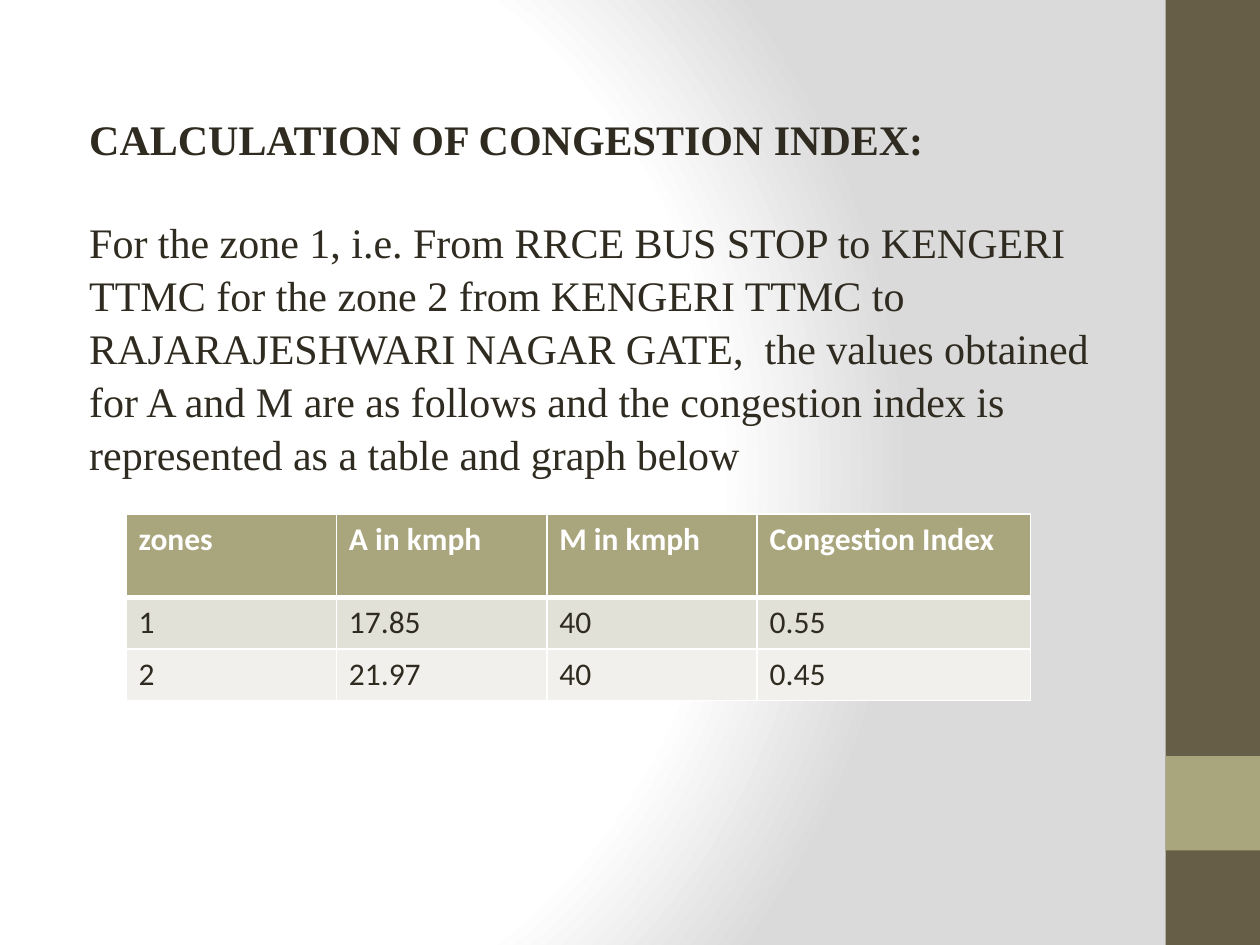
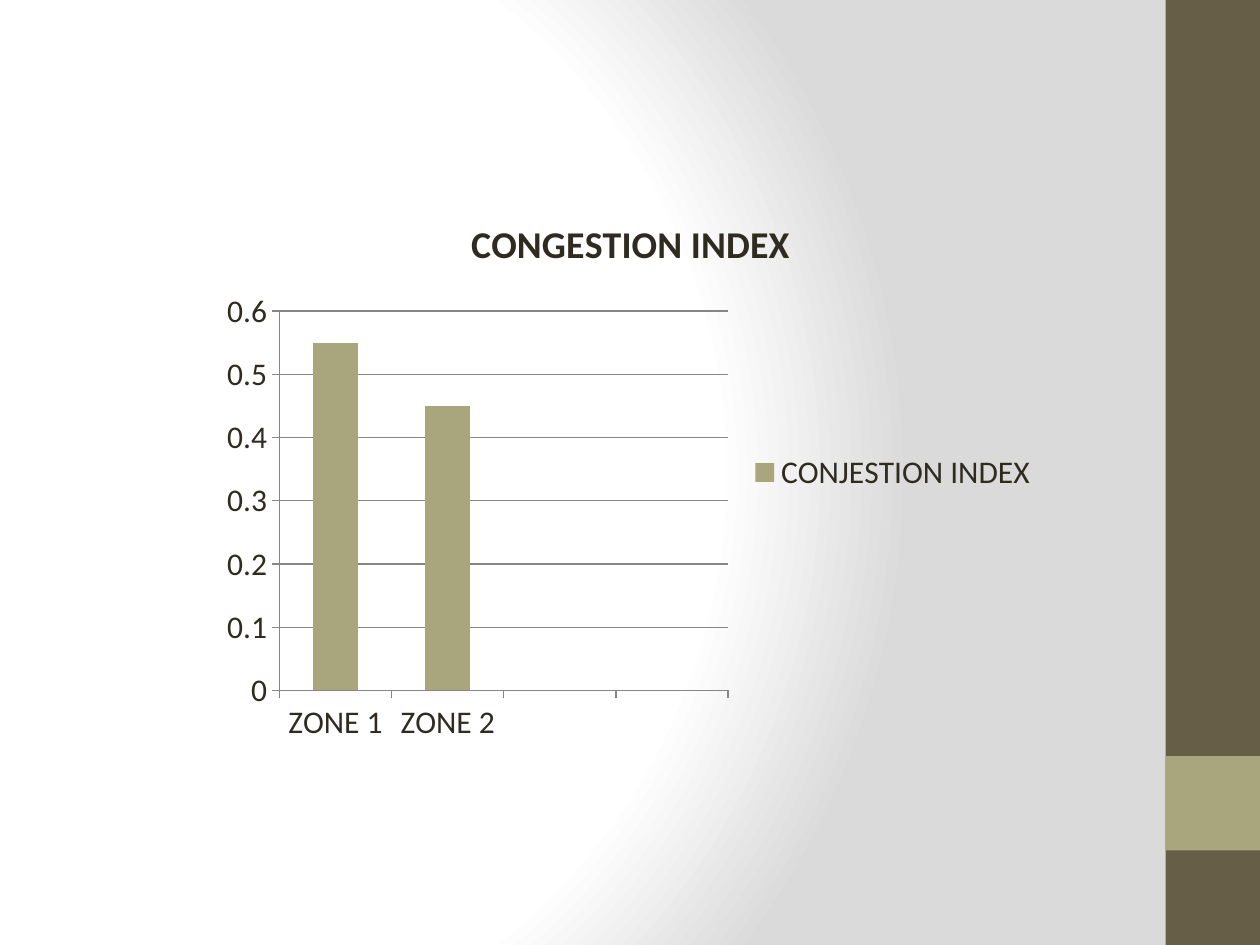
from typing import NamedTuple

from pptx import Presentation
from pptx.chart.data import CategoryChartData
from pptx.dml.color import RGBColor
from pptx.enum.chart import XL_CHART_TYPE, XL_LEGEND_POSITION, XL_TICK_MARK
from pptx.enum.shapes import MSO_SHAPE
from pptx.oxml import parse_xml
from pptx.oxml.ns import nsdecls
from pptx.slide import Slide
from pptx.util import Inches, Pt

RECTANGLE = MSO_SHAPE.RECTANGLE
STACKED_COLUMN = XL_CHART_TYPE.COLUMN_STACKED
LEGEND_RIGHT = XL_LEGEND_POSITION.RIGHT
TICK_OUTSIDE = XL_TICK_MARK.OUTSIDE

WHITE = RGBColor(0xFF, 0xFF, 0xFF)
GREY = RGBColor(0xDA, 0xDA, 0xDA)
BROWN = RGBColor(0x67, 0x5E, 0x47)
OLIVE = RGBColor(0xA9, 0xA5, 0x7C)
INK = RGBColor(0x2F, 0x2B, 0x20)
AXIS_GREY = RGBColor(0x86, 0x86, 0x86)
ROW_FILLS = (RGBColor(0xE2, 0xE1, 0xD7), RGBColor(0xF1, 0xF0, 0xEC))

BODY_FONT = "Calibri"
TEXT_FONT = "Times New Roman"


class Band(NamedTuple):
    top: float
    height: float
    color: RGBColor


BANDS = (Band(0, 7.5, BROWN), Band(6, 0.75, OLIVE))
BACKGROUND_STOPS = ((0, WHITE), (75, WHITE), (100, GREY))

HEADING = "CALCULATION OF CONGESTION INDEX:"
EXPLANATION = (
    "For the zone 1, i.e. From RRCE BUS STOP to KENGERI TTMC for the zone 2 "
    "from KENGERI TTMC to RAJARAJESHWARI NAGAR GATE,  the values obtained for "
    "A and M are as follows and the congestion index is represented as a table "
    "and graph below"
)
ZONE_TABLE = (
    ("zones", "A in kmph", "M in kmph", "Congestion Index"),
    ("1", "17.85", "40", "0.55"),
    ("2", "21.97", "40", "0.45"),
)
COLUMN_WIDTHS = (1.67, 1.67, 1.67, 2.17)
ROW_HEIGHTS = (0.66, 0.41, 0.41)


def set_background(s: Slide) -> None:
    """Give the slide a radial gradient from white at the left to grey."""
    stops = "".join(
        f'<a:gs pos="{pos * 1000}"><a:srgbClr val="{color}"/></a:gs>'
        for pos, color in BACKGROUND_STOPS
    )
    s.element.cSld.insert(0, parse_xml(
        f'<p:bg {nsdecls("p", "a")}><p:bgPr><a:gradFill rotWithShape="1">'
        f'<a:gsLst>{stops}</a:gsLst><a:path path="circle">'
        '<a:fillToRect l="20000" t="50000" r="100000" b="50000"/></a:path>'
        '</a:gradFill><a:effectLst/></p:bgPr></p:bg>'
    ))


def add_base_slide(prs) -> Slide:
    """Add a blank slide with the shared background and right-hand bands."""
    s = prs.slides.add_slide(prs.slide_layouts[6])
    set_background(s)
    for band in BANDS:
        sp = s.shapes.add_shape(RECTANGLE, Inches(9.25), Inches(band.top),
                                Inches(0.75), Inches(band.height))
        sp.shadow.inherit = False
        sp.fill.solid()
        sp.fill.fore_color.rgb = band.color
        sp.line.fill.background()
    return s


def set_font(font, name: str, size: float, color: RGBColor, bold: bool = False) -> None:
    font.name = name
    font.size = Pt(size)
    font.color.rgb = color
    font.bold = bold


def set_borders(cell, bottom: float) -> None:
    """Draw white cell borders, with the bottom width in points."""
    tc_pr = cell._tc.get_or_add_tcPr()
    for i, (side, width) in enumerate((("L", 1), ("R", 1), ("T", 1), ("B", bottom))):
        tc_pr.insert(i, parse_xml(
            f'<a:ln{side} {nsdecls("a")} w="{Pt(width)}"><a:solidFill>'
            f'<a:srgbClr val="{WHITE}"/></a:solidFill></a:ln{side}>'
        ))


def add_explanation(s: Slide) -> None:
    tf = s.shapes.add_textbox(Inches(0.61), Inches(0.83),
                              Inches(8.5), Inches(2.93)).text_frame
    tf.word_wrap = True
    tf.text = f"{HEADING}\n{EXPLANATION}"
    for p in tf.paragraphs:
        p.line_spacing = 1.05
        set_font(p.runs[0].font, TEXT_FONT, 24, INK, bold=p.text == HEADING)
    tf.paragraphs[0].space_after = Pt(29)


def add_zone_table(s: Slide) -> None:
    table = s.shapes.add_table(
        len(ROW_HEIGHTS), len(COLUMN_WIDTHS), Inches(1), Inches(4.08),
        Inches(sum(COLUMN_WIDTHS)), Inches(sum(ROW_HEIGHTS))).table
    for column, width in zip(table.columns, COLUMN_WIDTHS):
        column.width = Inches(width)
    for i, (row, height) in enumerate(zip(table.rows, ROW_HEIGHTS)):
        row.height = Inches(height)
        header = i == 0
        for cell, text in zip(row.cells, ZONE_TABLE[i]):
            cell.text = text
            set_font(cell.text_frame.paragraphs[0].runs[0].font, BODY_FONT, 18,
                     WHITE if header else INK, bold=header)
            cell.fill.solid()
            cell.fill.fore_color.rgb = OLIVE if header else ROW_FILLS[i - 1]
            set_borders(cell, bottom=3 if header else 1)


def add_index_chart(s: Slide) -> None:
    data = CategoryChartData()
    data.categories = ["ZONE 1", "ZONE 2", "", ""]
    data.add_series("CONJESTION INDEX", (0.55, 0.45, None, None))
    chart = s.shapes.add_chart(STACKED_COLUMN, Inches(1.67), Inches(1.53),
                               Inches(6.67), Inches(4.44), data).chart
    set_font(chart.font, BODY_FONT, 18, INK)

    chart.has_title = True
    tf = chart.chart_title.text_frame
    tf.text = "CONGESTION INDEX"
    set_font(tf.paragraphs[0].runs[0].font, BODY_FONT, 21.6, INK, bold=True)
    chart.chart_title.include_in_layout = False

    chart.has_legend = True
    chart.legend.position = LEGEND_RIGHT
    chart.legend.include_in_layout = False

    plot = chart.plots[0]
    plot.gap_width = 150
    plot.overlap = 100
    plot.vary_by_categories = False
    fill = plot.series[0].format.fill
    fill.solid()
    fill.fore_color.rgb = OLIVE

    chart.value_axis.has_major_gridlines = True
    for axis in (chart.category_axis, chart.value_axis):
        axis.major_tick_mark = TICK_OUTSIDE
    for part in (chart.category_axis, chart.value_axis,
                 chart.value_axis.major_gridlines):
        part.format.line.color.rgb = AXIS_GREY
        part.format.line.width = Pt(0.75)


def main() -> None:
    prs = Presentation()
    prs.slide_width = Inches(10)
    prs.slide_height = Inches(7.5)

    s = add_base_slide(prs)
    add_explanation(s)
    add_zone_table(s)

    add_index_chart(add_base_slide(prs))
    prs.save("out.pptx")


if __name__ == "__main__":
    main()
